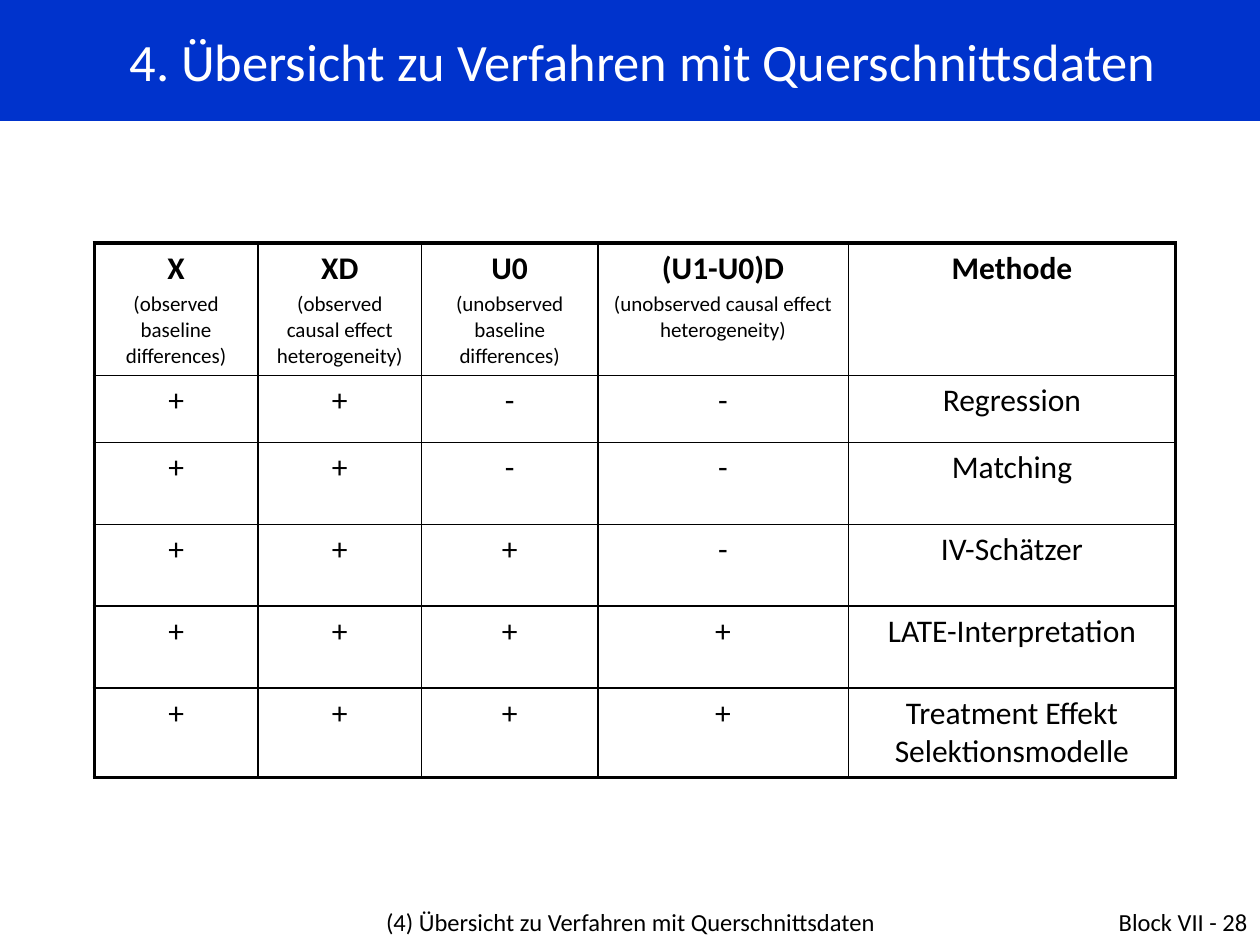
import pptx
import pptx.dml.color
import pptx.enum.shapes
import pptx.enum.text
import pptx.oxml.ns
import pptx.util
from lxml import etree

Cm = pptx.util.Cm
Pt = pptx.util.Pt
ALIGN = pptx.enum.text.PP_ALIGN
ANCHOR = pptx.enum.text.MSO_ANCHOR
qn = pptx.oxml.ns.qn

TITLE = "4. Übersicht zu Verfahren mit Querschnittsdaten"
FOOTERS = [
    ("(4) Übersicht zu Verfahren mit Querschnittsdaten", 6.15, 13.13, ALIGN.CENTER),
    ("Block VII - 28", 19.48, 5.92, ALIGN.RIGHT),
]
HEADERS = [
    ("X", "(observed baseline differences)"),
    ("XD", "(observed causal effect heterogeneity)"),
    ("U0", "(unobserved baseline differences)"),
    ("(U1-U0)D", "(unobserved causal effect heterogeneity)"),
    ("Methode",),
]
METHODS = [
    ("++--", "Regression"),
    ("++--", "Matching"),
    ("+++-", "IV-Schätzer"),
    ("++++", "LATE-Interpretation"),
    ("++++", "Treatment Effekt Selektionsmodelle"),
]
COLUMN_WIDTHS = [3.3, 3.3, 3.55, 5.05, 6.6]
ROW_HEIGHTS = [2.67, 1.35, 1.65, 1.65, 1.65, 1.75]
HEADING = {"size": Pt(18), "bold": True}
DETAIL = {"size": Pt(12), "bold": False}
BODY = {"size": Pt(18), "bold": False}


def color(value):
    return pptx.dml.color.RGBColor.from_string(value)


def write(paragraph, text, alignment, font_values, font_color="000000"):
    paragraph.alignment = alignment
    run = paragraph.add_run()
    run.text = text
    for name, value in {"name": "Calibri", **font_values}.items():
        setattr(run.font, name, value)
    run.font.color.rgb = color(font_color)


def space_before(paragraph, percent):
    spacing = etree.SubElement(paragraph._p.get_or_add_pPr(), qn("a:spcBef"))
    etree.SubElement(spacing, qn("a:spcPct")).set("val", str(percent * 1000))


def set_borders(cell, widths):
    properties = cell._tc.get_or_add_tcPr()
    for side, width in widths.items():
        line = etree.SubElement(properties, qn(f"a:ln{side}"), w=str(Pt(width)))
        fill = etree.SubElement(line, qn("a:solidFill"))
        etree.SubElement(fill, qn("a:srgbClr"), val="000000")


def add_title(slide):
    banner = slide.shapes.add_shape(
        pptx.enum.shapes.MSO_SHAPE.RECTANGLE, 0, 0, Cm(25.4), Cm(2.44))
    banner.shadow.inherit = False
    banner.fill.solid()
    banner.fill.fore_color.rgb = color("0033CC")
    banner.line.fill.background()
    banner.text_frame.vertical_anchor = ANCHOR.MIDDLE
    paragraph = banner.text_frame.paragraphs[0]
    write(paragraph, TITLE, ALIGN.CENTER, {"size": Pt(30)}, "FFFFFF")
    for name, value in {"marL": Cm(1.32), "indent": Cm(-0.79)}.items():
        paragraph._p.get_or_add_pPr().set(name, str(value))


def add_methods_table(slide):
    rows = [[list(zip(header, (HEADING, DETAIL))) for header in HEADERS]]
    rows += [[[(text, BODY)] for text in (*signs, method)] for signs, method in METHODS]
    last_row, last_column = len(rows) - 1, len(HEADERS) - 1
    table = slide.shapes.add_table(
        len(rows), len(HEADERS), Cm(1.9), Cm(4.9),
        Cm(sum(COLUMN_WIDTHS)), Cm(sum(ROW_HEIGHTS))).table
    for column, width in zip(table.columns, COLUMN_WIDTHS):
        column.width = Cm(width)
    for row, height in zip(table.rows, ROW_HEIGHTS):
        row.height = Cm(height)
    for row_index, row in enumerate(rows):
        for column_index, lines in enumerate(row):
            cell = table.cell(row_index, column_index)
            outer = {"L": column_index == 0, "R": column_index == last_column,
                     "T": row_index == 0, "B": row_index == last_row}
            set_borders(cell, {side: 2.25 if edge else 1 for side, edge in outer.items()})
            cell.fill.background()
            for index, (text, font_values) in enumerate(lines):
                frame = cell.text_frame
                paragraph = frame.add_paragraph() if index else frame.paragraphs[0]
                write(paragraph, text, ALIGN.CENTER, font_values)
                space_before(paragraph, 20)


def add_footers(slide):
    for text, left, width, alignment in FOOTERS:
        frame = slide.shapes.add_textbox(Cm(left), Cm(18.16), Cm(width), Cm(1.32)).text_frame
        frame.word_wrap = True
        write(frame.paragraphs[0], text, alignment, {"size": Pt(14)})


def main():
    presentation = pptx.Presentation()
    presentation.slide_width, presentation.slide_height = Cm(25.4), Cm(19.05)
    slide = presentation.slides.add_slide(presentation.slide_layouts[6])
    add_methods_table(slide)
    add_footers(slide)
    add_title(slide)
    presentation.save("out.pptx")


if __name__ == "__main__":
    main()
